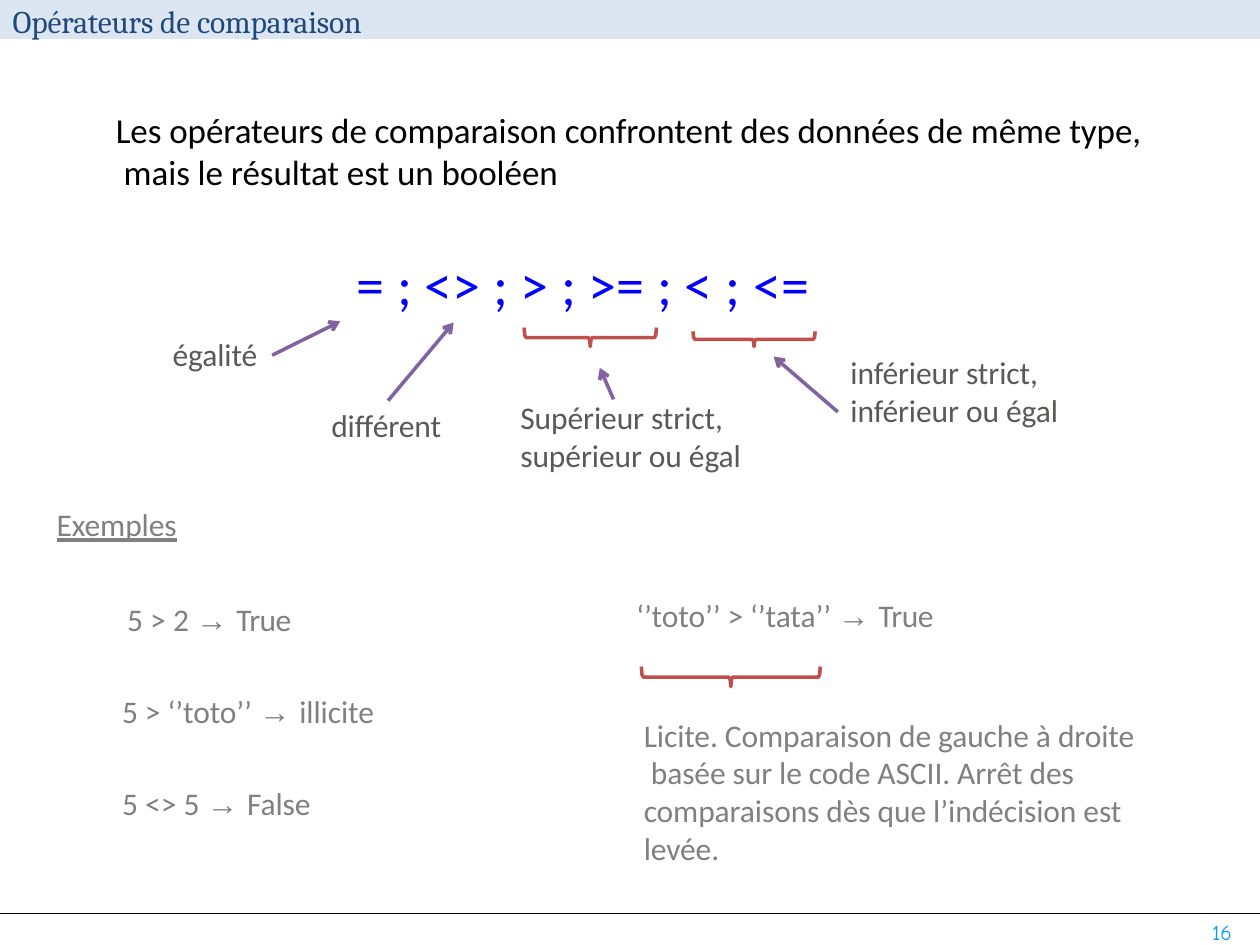
from lxml import etree
from pptx import Presentation
from pptx import util as u
from pptx.dml import color
from pptx.enum import shapes, text
from pptx.oxml import ns

COLS, ROWS = 100, 75
WIDTH, HEIGHT = u.Inches(10), u.Inches(7.5)
GREY, DARK, BLACK = "808080", "595958", "000000"
PURPLE, RED = "8064A2", "C0504D"
ARROW = ("→ ", "Arial", 0)


def col(n):
    """Return the length of n grid columns."""
    return round(WIDTH * n / COLS)


def row(n):
    """Return the length of n grid rows."""
    return round(HEIGHT * n / ROWS)


def rgb(value):
    """Turn a hex string into a colour."""
    return color.RGBColor.from_string(value)


def add_text(s, box, runs, ink, size=18, font="Calibri", underline=None, top=0.2):
    """Write runs, each a string or (string, font, tracking), in a box."""
    x, y, w, h = box
    sp = s.shapes.add_textbox(col(x), row(y), col(w), row(h))
    tf = sp.text_frame
    tf.word_wrap = True
    tf.auto_size = text.MSO_AUTO_SIZE.NONE
    tf.margin_left, tf.margin_top = col(0.1), row(top)
    tf.margin_right = tf.margin_bottom = 0
    p = tf.paragraphs[0]
    for run in runs:
        words, face, tracking = (run, font, -5) if isinstance(run, str) else run
        for i, line in enumerate(words.split("\n")):
            if i:
                p.add_line_break()
            r = p.add_run()
            r.text = line
            r.font.name, r.font.size = face, u.Pt(size)
            r.font.underline = underline
            r.font.color.rgb = rgb(ink)
            r._r.get_or_add_rPr().set("spc", str(tracking))


def add_band(s, x, y, w, h, fill):
    """Draw a plain filled band."""
    sp = s.shapes.add_shape(shapes.MSO_SHAPE.RECTANGLE, col(x), row(y), col(w), row(h))
    sp.shadow.inherit = False
    sp.fill.solid()
    sp.fill.fore_color.rgb = rgb(fill)
    sp.line.fill.background()


def add_line(s, start, end, ink, width, arrow=False):
    """Draw a straight line, with an open arrowhead if asked."""
    (x1, y1), (x2, y2) = start, end
    sp = s.shapes.add_connector(
        shapes.MSO_CONNECTOR.STRAIGHT, col(x1), row(y1), col(x2), row(y2))
    sp.line.color.rgb = rgb(ink)
    sp.line.width = u.Pt(width)
    if arrow:
        etree.SubElement(sp.line._get_or_add_ln(), ns.qn("a:tailEnd"),
                         type="arrow", w="med", len="med")
    etree.SubElement(sp._element.spPr, ns.qn("a:effectLst"))


def add_brace(s, x, y, w, h):
    """Draw a brace that opens upwards and points down at its middle."""
    mid, bar = w / 2, h * 0.53
    half = [(0, 0), (0.05, bar * 0.75), (0.15, bar), (mid - 0.15, bar),
            (mid - 0.05, bar * 1.2), (mid, h)]
    points = half + [(w - px, py) for px, py in reversed(half[:-1])]
    pts = [(col(x + px), row(y + py)) for px, py in points]
    fb = s.shapes.build_freeform(*pts[0])
    fb.add_line_segments(pts[1:], close=False)
    sp = fb.convert_to_shape()
    sp.shadow.inherit = False
    sp.fill.background()
    sp.line.color.rgb = rgb(RED)
    sp.line.width = u.Pt(2.04)


def add_frame(s):
    """Add the heading band, the footer rule and the page number."""
    add_line(s, (0, 72.5), (COLS, 72.5), BLACK, 0.72)
    add_band(s, 0, 0, COLS, 3.1, "DCE6F2")
    add_text(s, (0.9, 0, 30.5, 3.3), ["Opérateurs de comparaison"], "1F497D", font="Cambria")
    add_text(s, (96.1, 72.4, 2.6, 2.6), [("16", "Comic Neue", 0)], "0099FF", 12, top=0.6)


def add_operators(s):
    """Add the operators with their labels, arrows and braces."""
    add_text(s, (28.2, 19.6, 36.8, 5.6), [("= ; <> ; > ; >= ; < ; <=", "Calibri", 0)],
             "0000FF", 32)
    labels = [
        ((13.6, 26.4, 7.5, 3.3), "égalité"),
        ((26.2, 32, 9.6, 3.3), "différent"),
        ((41.2, 31.4, 18.5, 6.3), "Supérieur strict,\nsupérieur ou égal"),
        ((67.4, 27.8, 17.4, 6.3), "inférieur strict,\ninférieur ou égal"),
    ]
    for box, words in labels:
        add_text(s, box, [words], DARK)
    arrows = [((21.6, 28.2), (27, 25.5)), ((30.8, 31.8), (36, 25.6)),
              ((48.7, 31.7), (47.6, 29.2)), ((66.5, 32.7), (61.4, 28.3))]
    for start, end in arrows:
        add_line(s, start, end, PURPLE, 2.04, arrow=True)
    add_brace(s, 41.6, 26, 10.5, 1.5)
    add_brace(s, 55, 26.3, 9.7, 1.2)


def add_examples(s):
    """Add the examples and the note on comparing strings."""
    add_text(s, (4.4, 39.9, 10.5, 3.3), ["Exemples"], GREY, underline=True)
    true = ("True", "Calibri", -30)
    examples = [
        ((10, 47.4, 14, 3.3), [("5 > 2 ", "Calibri", 0), ARROW, true]),
        ((9.6, 54.7, 21, 3.3), ["5 > ‘’toto’’ ", ARROW, "illicite"]),
        ((9.6, 62, 16, 3.3), [("5 <> 5 ", "Calibri", 0), ARROW, "False"]),
        ((50.4, 47.1, 25, 3.3), ["‘’toto’’ > ‘’tata’’ ", ARROW, true]),
    ]
    for box, runs in examples:
        add_text(s, box, runs, GREY)
    add_brace(s, 50.9, 52.9, 14.2, 1.6)
    add_text(s, (51, 56.6, 40, 12.3),
             ["Licite. Comparaison de gauche à droite\n basée sur le code ASCII. Arrêt des\n"
              "comparaisons dès que l’indécision est\nlevée."], GREY)


def main():
    """Build the slide and save it."""
    prs = Presentation()
    prs.slide_width, prs.slide_height = WIDTH, HEIGHT
    s = prs.slides.add_slide(prs.slide_layouts[6])
    add_frame(s)
    add_text(s, (9.1, 8.4, 83, 7),
             ["Les opérateurs de comparaison confrontent des données de même type,\n"
              " mais le résultat est un booléen"], BLACK, 20)
    add_operators(s)
    add_examples(s)
    prs.save("out.pptx")


if __name__ == "__main__":
    main()
